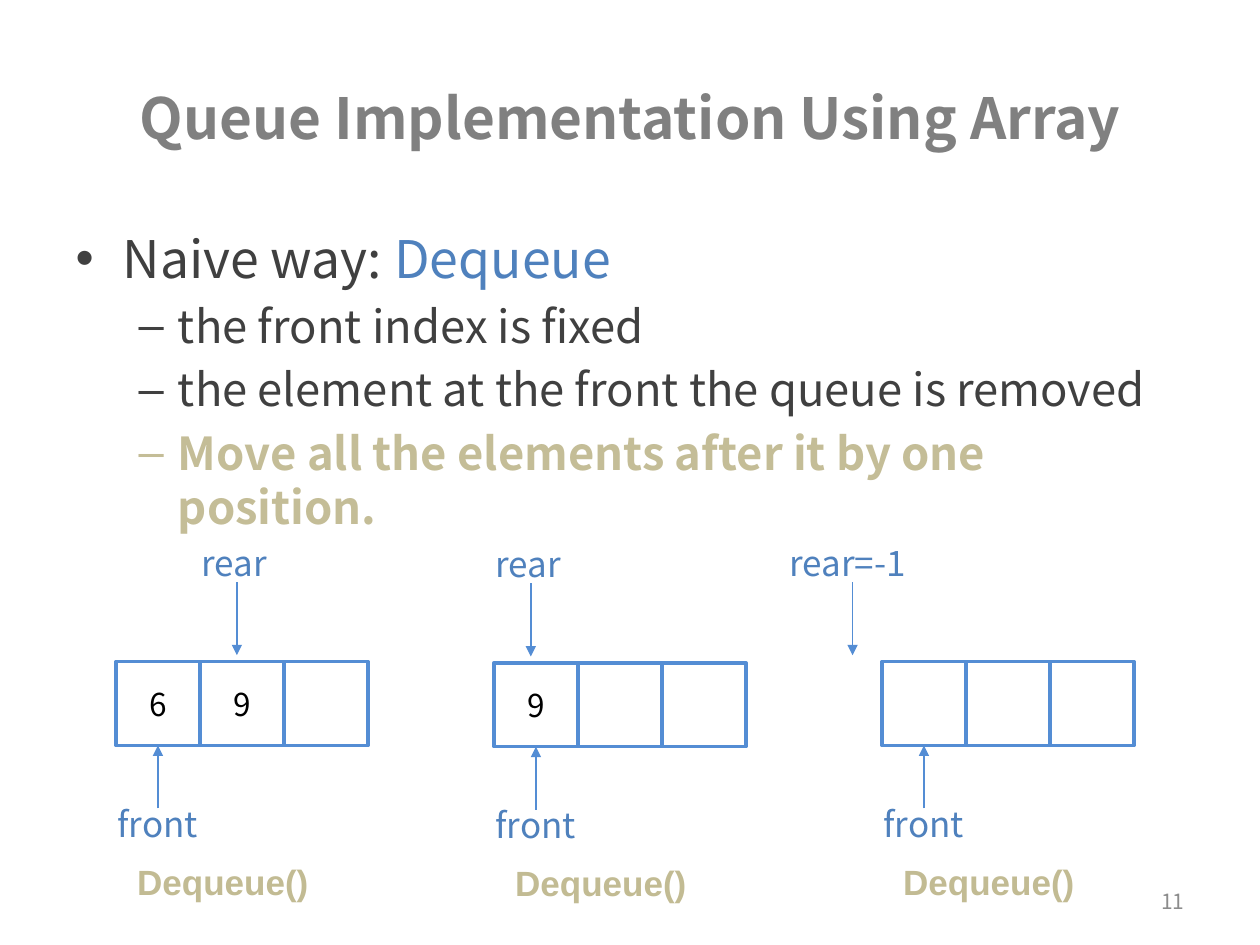
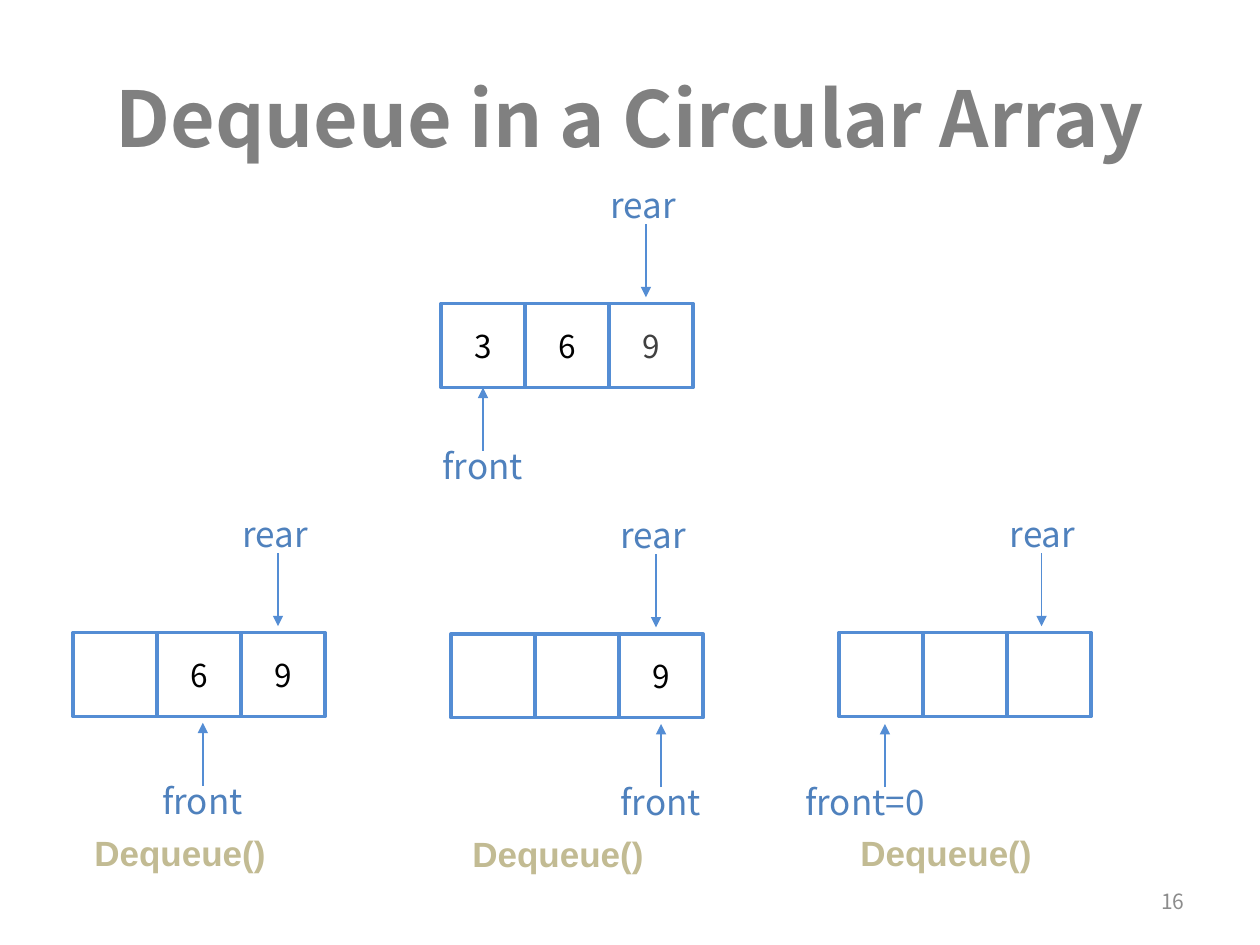
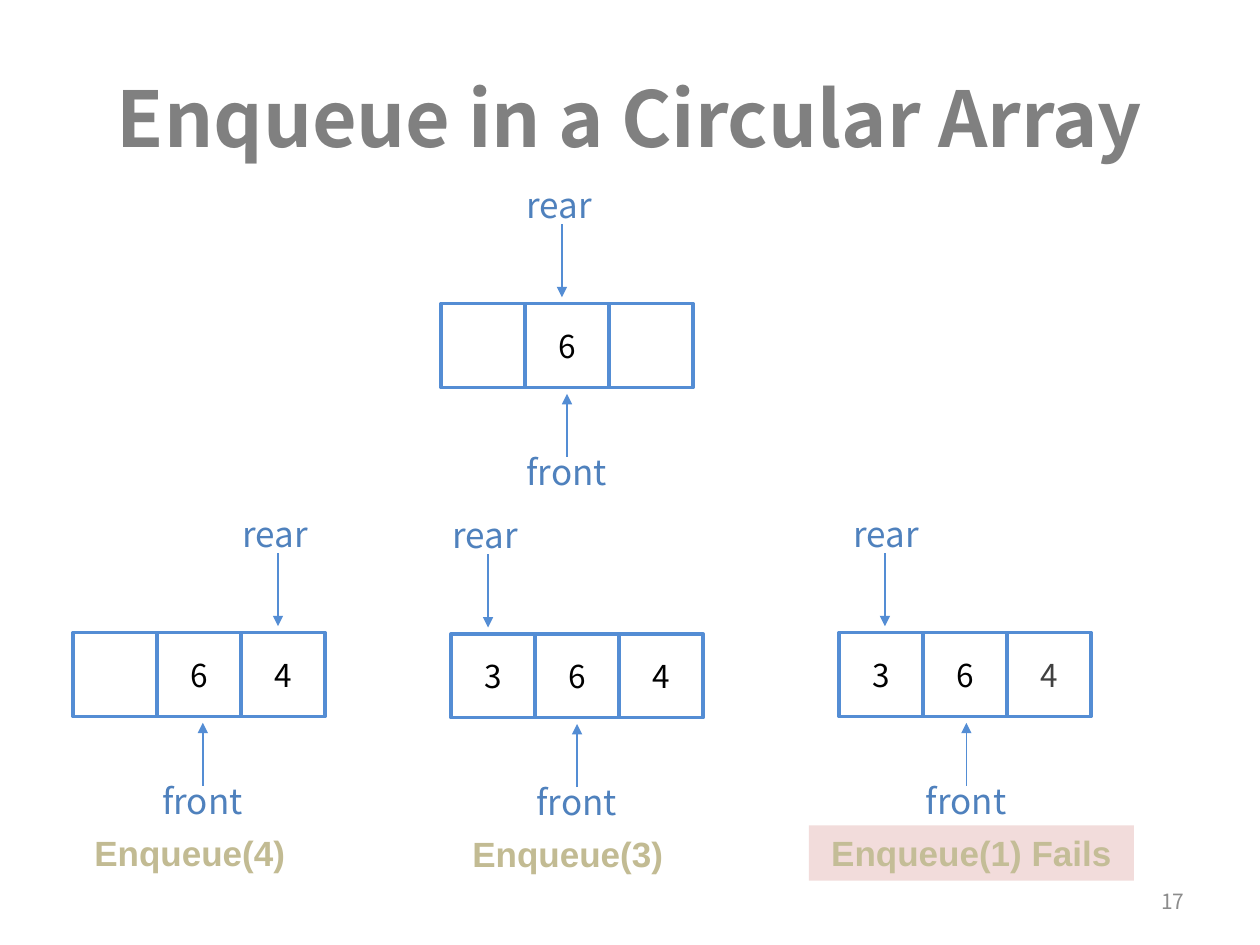
from dataclasses import dataclass

from lxml.etree import SubElement
from pptx import Presentation
from pptx.dml.color import RGBColor
from pptx.enum.shapes import MSO_CONNECTOR, MSO_SHAPE
from pptx.enum.text import MSO_ANCHOR as Anchor
from pptx.enum.text import MSO_AUTO_SIZE as AutoSize
from pptx.enum.text import PP_ALIGN as Align
from pptx.oxml.ns import qn
from pptx.util import Inches, Pt

SANS = "Noto Sans CJK SC"
TITLE_GRAY = "808080"
TEXT_GRAY = "404040"
NUMBER_GRAY = "8C8C8C"
BLACK = "000000"
WHITE = "FFFFFF"
LABEL_BLUE = "4F81BD"
LINE_BLUE = "548DD4"
SAND = "C4BD97"
CAPTION_SAND = "C2BB93"
FAIL_PINK = "F2DCDB"

TITLE_ONLY, TITLE_AND_CONTENT = 5, 1
CELL = 2 / 3
LABEL_WIDTH, LABEL_HEIGHT = 1.25, 0.43
BOTTOM = 2  # connection site


@dataclass(frozen=True)
class Pointer:
    """An index label with an arrow; shift moves the arrow off the cell's centre."""
    index: int
    text: str
    shift: float
    indent: float
    gap: float = 0.05


@dataclass(frozen=True)
class Queue:
    left: float
    top: float
    values: tuple[str, str, str]
    front: Pointer
    rear: Pointer
    caption: str = ""
    faded_cell: int = -1
    fails: bool = False


def front(index: int, text: str = "front", shift: float = 0,
          indent: float = 0.42, gap: float = 0.05) -> Pointer:
    return Pointer(index, text, shift, indent, gap)


def touching_front(index: int = 0) -> Pointer:
    return front(index, gap=0)


def rear(index: int, text: str = "rear", shift: float = -0.04,
         indent: float = 0.38) -> Pointer:
    return Pointer(index, text, shift, indent)


def rgb(color: str) -> RGBColor:
    return RGBColor.from_string(color)


def set_font(font, size: float, color: str, bold: bool = False, name: str = SANS) -> None:
    font.name = name
    font.size = Pt(size)
    font.bold = bold
    font.color.rgb = rgb(color)


def add_text(shapes, left: float, top: float, width: float, height: float, text: str,
             size: float, color: str, bold: bool = False, name: str = SANS,
             align=Align.LEFT, anchor=Anchor.TOP):
    box = shapes.add_textbox(Inches(left), Inches(top), Inches(width), Inches(height))
    frame = box.text_frame
    frame.word_wrap = True
    frame.vertical_anchor = anchor
    paragraph = frame.paragraphs[0]
    paragraph.text = text
    paragraph.alignment = align
    set_font(paragraph.font, size, color, bold, name)
    return box


def add_arrow(shapes, x: float, start: float, end: float):
    arrow = shapes.add_connector(MSO_CONNECTOR.STRAIGHT, Inches(x), Inches(start),
                                 Inches(x), Inches(end))
    arrow.line.color.rgb = rgb(LINE_BLUE)
    arrow.line.width = Pt(1)
    properties = arrow._element.spPr
    SubElement(properties.find(qn("a:ln")), qn("a:tailEnd"), type="triangle")
    SubElement(properties, qn("a:effectLst"))
    return arrow


def add_cell(slide, left: float, top: float, value: str, color: str):
    cell = slide.shapes.add_shape(MSO_SHAPE.RECTANGLE, Inches(left), Inches(top),
                                  Inches(CELL), Inches(CELL))
    cell.shadow.inherit = False
    cell.fill.solid()
    cell.fill.fore_color.rgb = rgb(WHITE)
    cell.line.color.rgb = rgb(LINE_BLUE)
    cell.line.width = Pt(2)
    if value:
        frame = cell.text_frame
        frame.word_wrap = False
        frame.vertical_anchor = Anchor.MIDDLE
        paragraph = frame.paragraphs[0]
        paragraph.text = value
        paragraph.alignment = Align.CENTER
        set_font(paragraph.font, 18, color)
    return cell


def add_pointer(slide, queue: Queue, pointer: Pointer, start: float, end: float,
                label_top: float):
    x = queue.left + (pointer.index + 0.5) * CELL + pointer.shift
    shapes = slide.shapes.add_group_shape().shapes
    add_text(shapes, x - pointer.indent, label_top, LABEL_WIDTH, LABEL_HEIGHT,
             pointer.text, 20, LABEL_BLUE)
    return add_arrow(shapes, x, start, end)


def add_caption(slide, queue: Queue) -> None:
    top = queue.top + 1.53
    if queue.fails:
        caption = add_text(slide.shapes, queue.left - 0.24, top, 2.58, 0.44,
                           queue.caption, 20, SAND, True, "Arial", Align.CENTER)
        caption.fill.solid()
        caption.fill.fore_color.rgb = rgb(FAIL_PINK)
    else:
        add_text(slide.shapes, queue.left + 0.07, top, 1.93, LABEL_HEIGHT,
                 queue.caption, 20, CAPTION_SAND, True, "Arial")


def add_queue(slide, queue: Queue) -> None:
    cells = [
        add_cell(slide, queue.left + i * CELL, queue.top, value,
                 TEXT_GRAY if i == queue.faded_cell else BLACK)
        for i, value in enumerate(queue.values)
    ]
    tip = queue.top + CELL + queue.front.gap
    front_arrow = add_pointer(slide, queue, queue.front, tip + 0.5, tip, tip + 0.4)
    if queue.front.gap == 0:
        front_arrow.end_connect(cells[queue.front.index], BOTTOM)
    tip = queue.top - queue.rear.gap
    add_pointer(slide, queue, queue.rear, tip - 0.58, tip, tip - 0.95)
    if queue.caption:
        add_caption(slide, queue)


def add_slide(deck, layout: int, title: str, title_size: float, number: int,
              queues: list[Queue]):
    slide = deck.slides.add_slide(deck.slide_layouts[layout])
    heading = slide.shapes.title
    heading.left, heading.top = Inches(0.5), Inches(0.3)
    heading.width, heading.height = Inches(9), Inches(1.25)
    frame = heading.text_frame
    frame.text = title
    frame.auto_size = AutoSize.NONE
    frame.vertical_anchor = Anchor.MIDDLE
    frame.paragraphs[0].alignment = Align.CENTER
    set_font(frame.paragraphs[0].font, title_size, TITLE_GRAY, True)
    for queue in queues:
        add_queue(slide, queue)
    add_text(slide.shapes, 7.17, 6.95, 2.33, 0.4, str(number), 12, NUMBER_GRAY,
             align=Align.RIGHT, anchor=Anchor.MIDDLE)
    return slide


def fill_naive_way(slide) -> None:
    body = slide.placeholders[1]
    body.left, body.top = Inches(0.5), Inches(1.75)
    body.width, body.height = Inches(9), Inches(2.33)
    frame = body.text_frame
    frame.auto_size = AutoSize.NONE
    intro = frame.paragraphs[0]
    for text, color in (("Naive way: ", TEXT_GRAY), ("Dequeue", LABEL_BLUE)):
        run = intro.add_run()
        run.text = text
        set_font(run.font, 29.6, color)
    for text, color, bold in (
        ("the front index is fixed", TEXT_GRAY, False),
        ("the element at the front the queue is removed", TEXT_GRAY, False),
        ("Move all the elements after it by one position.", SAND, True),
    ):
        step = frame.add_paragraph()
        step.text = text
        step.level = 1
        set_font(step.font, 25.9, color, bold)


NAIVE_DEQUEUE = [
    Queue(0.92, 5.25, ("6", "9", ""), touching_front(), rear(1), "Dequeue()"),
    Queue(3.92, 5.26, ("9", "", ""), touching_front(), rear(0), "Dequeue()"),
    Queue(7, 5.25, ("", "", ""), touching_front(),
          rear(-1, "rear=-1", shift=0.1, indent=0.6), "Dequeue()"),
]
CIRCULAR_DEQUEUE = [
    Queue(0.58, 5.02, ("", "6", "9"), front(1, shift=0.03), rear(2), "Dequeue()"),
    Queue(3.58, 5.03, ("", "", "9"), front(2), rear(2), "Dequeue()"),
    Queue(6.66, 5.02, ("", "", ""), front(0, "front=0", 0.03, 0.73, 0.06),
          rear(2, shift=-0.06, indent=0.35), "Dequeue()"),
    Queue(3.5, 2.41, ("3", "6", "9"), touching_front(), rear(2), faded_cell=2),
]
CIRCULAR_ENQUEUE = [
    Queue(0.58, 5.02, ("", "6", "4"), front(1, shift=0.03), rear(2), "Enqueue(4)"),
    Queue(3.58, 5.03, ("3", "6", "4"), front(1), rear(0), "Enqueue(3)"),
    Queue(6.66, 5.02, ("3", "6", "4"), front(1, shift=0.01),
          rear(0, shift=0.03, indent=0.35), "Enqueue(1) Fails", faded_cell=2, fails=True),
    Queue(3.5, 2.41, ("", "6", ""), front(1), rear(1)),
]


def main() -> None:
    deck = Presentation()
    deck.slide_width, deck.slide_height = Inches(10), Inches(7.5)
    naive = add_slide(deck, TITLE_AND_CONTENT, "Queue Implementation Using Array", 32.4,
                      11, NAIVE_DEQUEUE)
    fill_naive_way(naive)
    add_slide(deck, TITLE_ONLY, "Dequeue in a Circular Array", 44, 16, CIRCULAR_DEQUEUE)
    add_slide(deck, TITLE_ONLY, "Enqueue in a Circular Array", 44, 17, CIRCULAR_ENQUEUE)
    deck.save("out.pptx")


if __name__ == "__main__":
    main()
